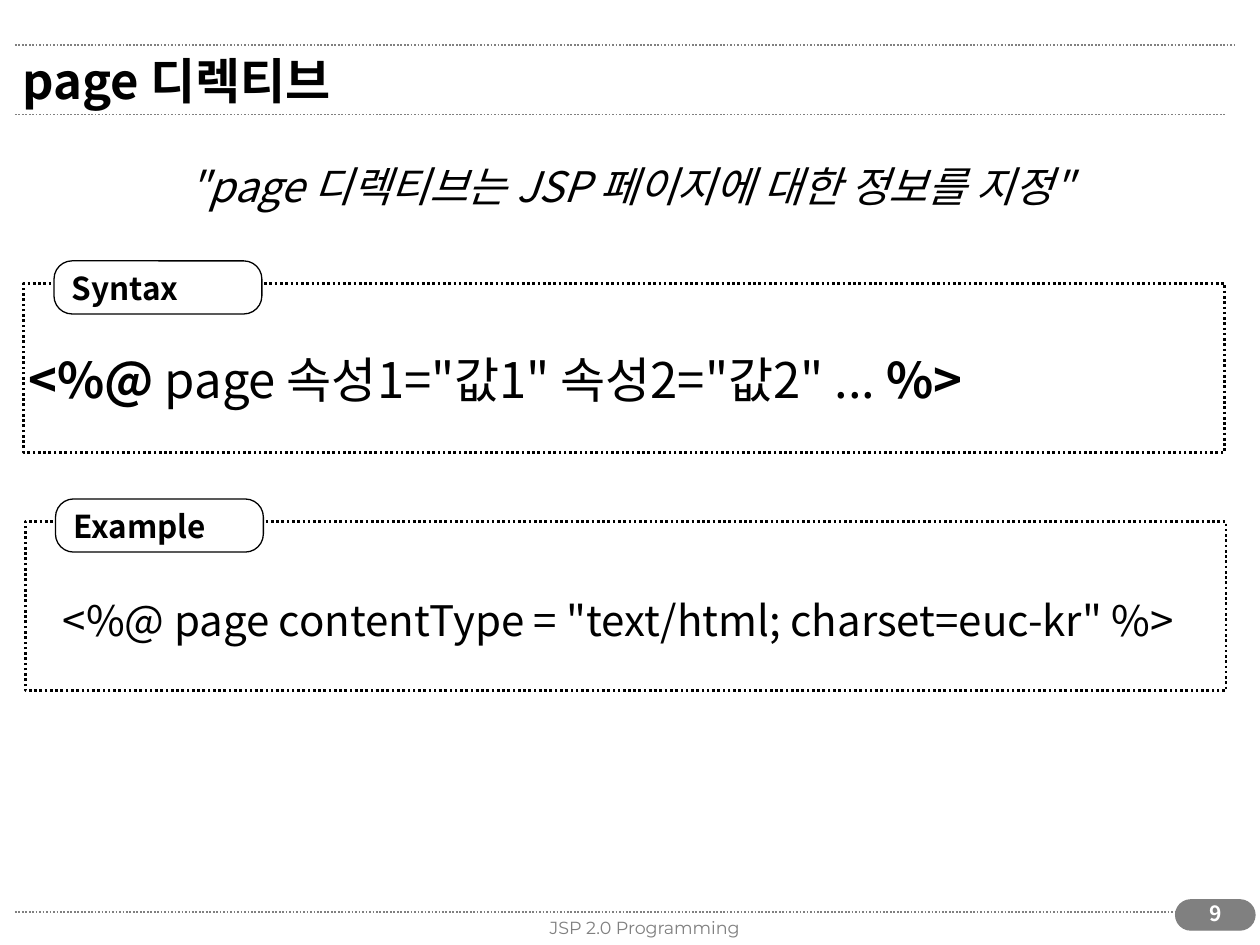
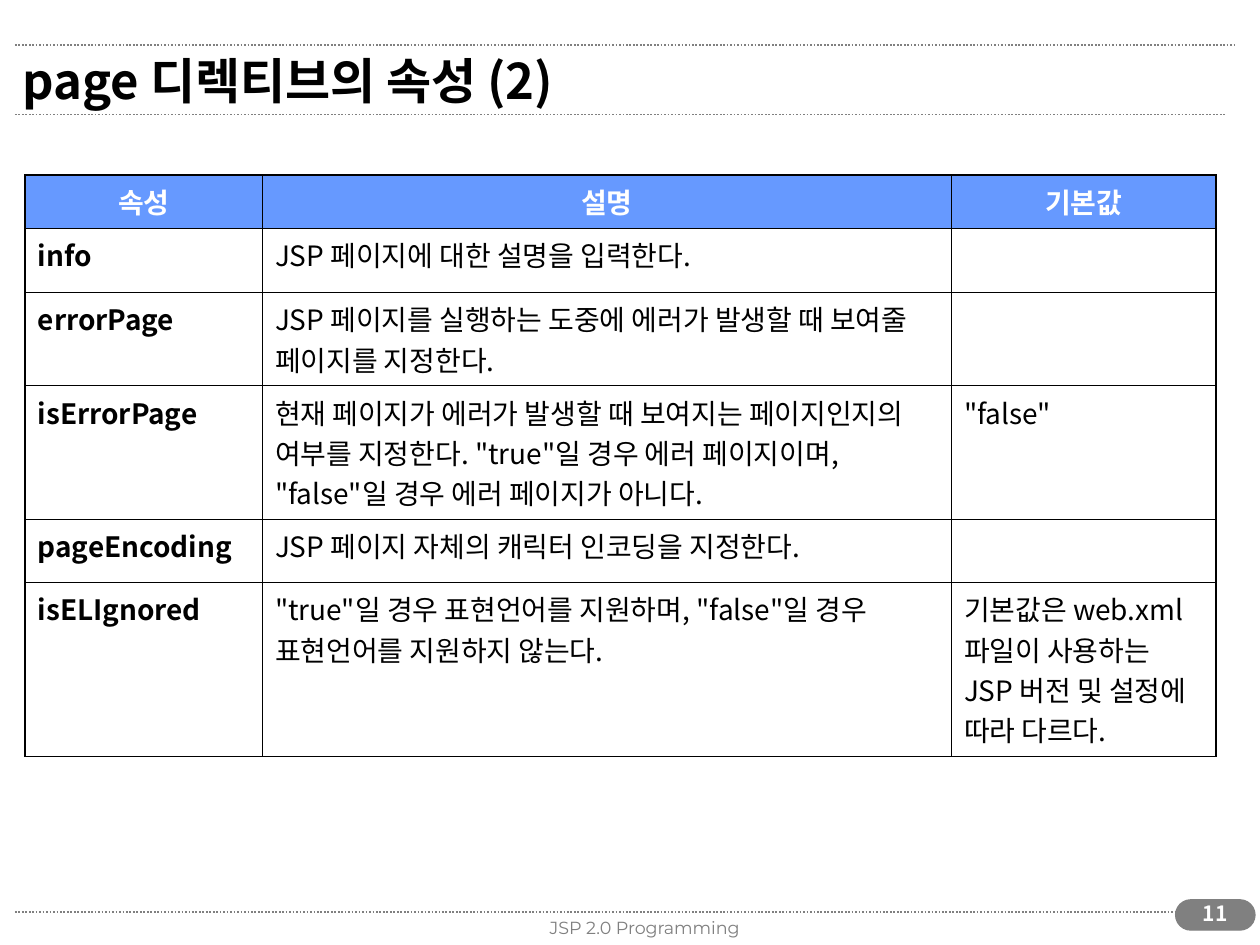
from dataclasses import dataclass

from lxml import etree
from pptx import Presentation
from pptx.dml.color import RGBColor
from pptx.enum.dml import MSO_LINE
from pptx.enum.shapes import MSO_CONNECTOR, MSO_SHAPE
from pptx.enum.text import MSO_ANCHOR, MSO_AUTO_SIZE, PP_ALIGN
from pptx.oxml.ns import qn
from pptx.util import Cm, Pt

LEFT, CENTER = PP_ALIGN.LEFT, PP_ALIGN.CENTER
MIDDLE = MSO_ANCHOR.MIDDLE
NO_FIT, GROW = MSO_AUTO_SIZE.NONE, MSO_AUTO_SIZE.SHAPE_TO_FIT_TEXT
DOTTED = MSO_LINE.ROUND_DOT
ROUNDED, RECTANGLE = MSO_SHAPE.ROUNDED_RECTANGLE, MSO_SHAPE.RECTANGLE
STRAIGHT = MSO_CONNECTOR.STRAIGHT
TITLE_ONLY = 5


@dataclass(frozen=True)
class Theme:
    black: RGBColor = RGBColor(0, 0, 0)
    white: RGBColor = RGBColor(255, 255, 255)
    gray: RGBColor = RGBColor(0x80, 0x80, 0x80)
    header_blue: RGBColor = RGBColor(0x66, 0x99, 0xFF)
    body_font: str = "Noto Sans CJK KR"
    footer_font: str = "Montserrat"
    title_size: int = 28
    lead_size: int = 24
    label_size: int = 18
    table_size: int = 16
    number_size: int = 12
    footer_size: int = 10
    outer_border: float = 1.08
    inner_border: float = 0.45


theme = Theme()


def style_paragraph(paragraph, size, color=theme.black, bold=False, italic=False,
                    align=LEFT, face=theme.body_font):
    paragraph.alignment = align
    font = paragraph.font
    font.size, font.bold, font.italic, font.name = Pt(size), bold, italic, face
    font.color.rgb = color
    defaults = paragraph._p.pPr.find(qn("a:defRPr"))
    etree.SubElement(defaults, qn("a:ea"), typeface=face)


def add_text(slide, box, text, size, wrap=True, **style):
    """Add a text box; text is a string or a list of (text, bold) runs."""
    frame = slide.shapes.add_textbox(*map(Cm, box)).text_frame
    frame.word_wrap = wrap
    frame.auto_size = NO_FIT if wrap else GROW
    paragraph = frame.paragraphs[0]
    if isinstance(text, str):
        paragraph.text = text
    else:
        for part, bold in text:
            run = paragraph.add_run()
            run.text, run.font.bold = part, bold
    style_paragraph(paragraph, size, **style)


presentation = Presentation()
presentation.slide_width, presentation.slide_height = Cm(25.4), Cm(19.05)

# Shared frame: rules, title, footer and page number
slides = []
for title_text, page_number in [("page 디렉티브", "9"), ("page 디렉티브의 속성 (2)", "11")]:
    slide = presentation.slides.add_slide(presentation.slide_layouts[TITLE_ONLY])
    slides.append(slide)

    for right, y in [(24.71, 18.39), (24.69, 2.31), (24.89, 0.91)]:
        rule = slide.shapes.add_connector(STRAIGHT, Cm(0.3), Cm(y), Cm(right), Cm(y))
        rule.line.color.rgb = theme.gray
        rule.line.width = Pt(1)
        rule.line.dash_style = DOTTED
        etree.SubElement(rule._element.spPr, qn("a:effectLst"))

    title = slide.shapes.title
    title.left, title.top, title.width, title.height = map(Cm, (0.2, 0.71, 23.11, 1.8))
    title.text_frame.text = title_text
    title.text_frame.auto_size = NO_FIT
    title.text_frame.vertical_anchor = MIDDLE
    style_paragraph(title.text_frame.paragraphs[0], theme.title_size, bold=True)

    pill = slide.shapes.add_shape(ROUNDED, Cm(23.7), Cm(18.14), Cm(1.6), Cm(0.61))
    pill.adjustments[0] = 0.5
    pill.shadow.inherit = False
    pill.fill.solid()
    pill.fill.fore_color.rgb = pill.line.color.rgb = theme.gray
    pill.line.width = Pt(0.75)

    add_text(slide, (8.97, 18.36, 8.05, 0.51), "JSP 2.0 Programming", theme.footer_size,
             color=theme.gray, align=CENTER, face=theme.footer_font)
    add_text(slide, (23.8, 18.03, 1.4, 0.86), page_number, theme.number_size,
             color=theme.white, bold=True, align=CENTER)

directive_slide, attributes_slide = slides

# Directive slide: lead sentence and two labelled panels
add_text(directive_slide, (0.51, 3.12, 24.41, 1.27),
         '"page 디렉티브는 JSP 페이지에 대한 정보를 지정"',
         theme.lead_size, italic=True, align=CENTER)

for label_text, left, top in [("Syntax", 0.48, 5.72), ("Example", 0.51, 10.52)]:
    panel = directive_slide.shapes.add_shape(RECTANGLE, Cm(left), Cm(top), Cm(24.21), Cm(3.4))
    panel.shadow.inherit = False
    panel.fill.background()
    panel.line.color.rgb = theme.black
    panel.line.width = Pt(1.5)
    panel.line.dash_style = DOTTED

    label = directive_slide.shapes.add_shape(
        ROUNDED, Cm(left + 0.61), Cm(top - 0.46), Cm(4.19), Cm(1.07))
    label.adjustments[0] = 0.34
    label.shadow.inherit = False
    label.fill.solid()
    label.fill.fore_color.rgb = theme.white
    label.line.color.rgb = theme.black
    label.line.width = Pt(0.75)
    label.text_frame.text = label_text
    label.text_frame.vertical_anchor = MIDDLE
    style_paragraph(label.text_frame.paragraphs[0], theme.label_size, bold=True)

add_text(directive_slide, (0.33, 6.93, 21.31, 1.45),
         [("<%@", True), (' page 속성1="값1" 속성2="값2" ... ', False), ("%>", True)],
         theme.title_size, wrap=False)
add_text(directive_slide, (1.02, 11.86, 23.14, 1.27),
         '<%@ page contentType = "text/html; charset=euc-kr" %>',
         theme.lead_size, wrap=False)

# Attributes slide: table
attribute_rows = [
    ("속성", "설명", "기본값"),
    ("info", "JSP 페이지에 대한 설명을 입력한다.", ""),
    ("errorPage", "JSP 페이지를 실행하는 도중에 에러가 발생할 때 보여줄 페이지를 지정한다.", ""),
    ("isErrorPage",
     '현재 페이지가 에러가 발생할 때 보여지는 페이지인지의 여부를 지정한다. '
     '"true"일 경우 에러 페이지이며, "false"일 경우 에러 페이지가 아니다.', '"false"'),
    ("pageEncoding", "JSP 페이지 자체의 캐릭터 인코딩을 지정한다.", ""),
    ("isELIgnored",
     '"true"일 경우 표현언어를 지원하며, "false"일 경우 표현언어를 지원하지 않는다.',
     "기본값은 web.xml 파일이 사용하는 JSP 버전 및 설정에 따라 다르다."),
]
column_widths = (4.78, 13.89, 5.33)
row_heights = (1.05, 1.29, 1.88, 2.7, 1.27, 3.51)
last_row, last_column = len(row_heights) - 1, len(column_widths) - 1

table = attributes_slide.shapes.add_table(
    len(row_heights), len(column_widths), Cm(0.51), Cm(3.53),
    Cm(sum(column_widths)), Cm(sum(row_heights))).table
table.first_row = table.horz_banding = False
for column, width in zip(table.columns, column_widths):
    column.width = Cm(width)
for row, height in zip(table.rows, row_heights):
    row.height = Cm(height)

for row_index, texts in enumerate(attribute_rows):
    is_header = row_index == 0
    for column_index, text in enumerate(texts):
        cell = table.cell(row_index, column_index)
        cell.text = text
        style_paragraph(cell.text_frame.paragraphs[0], theme.table_size,
                        color=theme.white if is_header else theme.black,
                        bold=is_header or column_index == 0,
                        align=CENTER if is_header else LEFT)

        properties = cell._tc.get_or_add_tcPr()
        outer_edges = {"a:lnL": column_index == 0, "a:lnR": column_index == last_column,
                       "a:lnT": is_header, "a:lnB": row_index == last_row}
        for edge, is_outer in outer_edges.items():
            width = Pt(theme.outer_border if is_outer else theme.inner_border)
            border = etree.SubElement(properties, qn(edge), w=str(width))
            fill = etree.SubElement(border, qn("a:solidFill"))
            etree.SubElement(fill, qn("a:srgbClr"), val=str(theme.black))

        if is_header:
            cell.fill.solid()
            cell.fill.fore_color.rgb = theme.header_blue
        else:
            cell.fill.background()

presentation.save("out.pptx")
